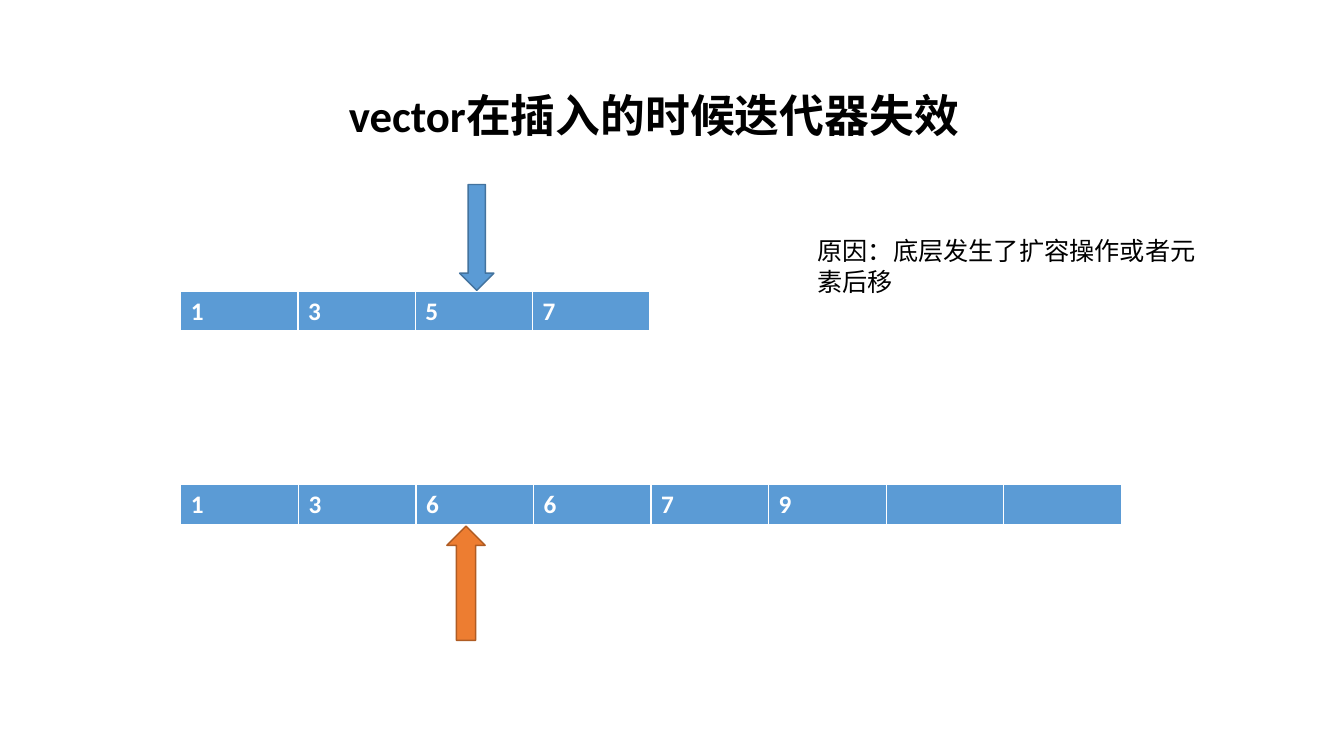
from dataclasses import dataclass
from pptx import Presentation
from pptx.dml.color import RGBColor as Rgb
from pptx.enum.shapes import MSO_SHAPE as Kind
from pptx.enum.text import MSO_ANCHOR as Anchor, PP_ALIGN as Align
from pptx.oxml import parse_xml
from pptx.oxml.ns import nsdecls
from pptx.util import Inches, Pt

WIDE, HIGH = Inches(13.333), Inches(7.5)
FONT = "Calibri"
HUES = {
    "black": "000000",
    "white": "FFFFFF",
    "blue": "5B9BD5",
    "navy": "43739E",
    "orange": "ED7D31",
    "rust": "AF5C24",
}
EDGES = {"lnL": 1, "lnR": 1, "lnT": 1, "lnB": 3}


@dataclass(frozen=True)
class Box:
    left: float
    top: float
    width: float
    height: float

    def emu(self) -> tuple[int, int, int, int]:
        return (int(self.left * WIDE / 100), int(self.top * HIGH / 100),
                int(self.width * WIDE / 100), int(self.height * HIGH / 100))


@dataclass(frozen=True)
class Vector:
    box: Box
    items: tuple[str, ...]


@dataclass(frozen=True)
class Arrow:
    box: Box
    kind: Kind
    fill: str
    line: str


TITLE = Box(25.2, 10.93, 49.73, 8.53)
NOTE = Box(60.08, 30.53, 30.83, 9.47)
VECTORS = (
    Vector(Box(13.46, 38.53, 34.88, 5.4), ("1", "3", "5", "7")),
    Vector(Box(13.46, 64.1, 69.98, 5.4), ("1", "3", "6", "6", "7", "9", "", "")),
)
ARROWS = (
    Arrow(Box(34.2, 24.4, 2.55, 14), Kind.DOWN_ARROW, "blue", "navy"),
    Arrow(Box(33.25, 69.6, 2.85, 15.1), Kind.UP_ARROW, "orange", "rust"),
)


def color(name: str) -> Rgb:
    return Rgb.from_string(HUES[name])


def style(para, size: int, hue: str, bold: bool) -> None:
    para.alignment = Align.LEFT
    font = para.font
    font.name, font.size, font.bold = FONT, Pt(size), bold
    font.color.rgb = color(hue)


def place(shape, box: Box) -> None:
    shape.left, shape.top, shape.width, shape.height = box.emu()


def write(shape, text: str, size: int, bold: bool) -> None:
    frame = shape.text_frame
    frame.word_wrap = True
    frame.vertical_anchor = Anchor.TOP
    frame.text = text
    style(frame.paragraphs[0], size, "black", bold)


def border(cell) -> None:
    props = cell._tc.get_or_add_tcPr()
    for edge, width in EDGES.items():
        props.append(parse_xml(
            f'<a:{edge} {nsdecls("a")} w="{Pt(width)}"><a:solidFill>'
            f'<a:srgbClr val="{HUES["white"]}"/></a:solidFill></a:{edge}>'))


def draw_vector(slide, vector: Vector) -> None:
    table = slide.shapes.add_table(1, len(vector.items), *vector.box.emu()).table
    for cell, item in zip(table.iter_cells(), vector.items):
        border(cell)
        cell.fill.solid()
        cell.fill.fore_color.rgb = color("blue")
        cell.text = item
        style(cell.text_frame.paragraphs[0], 18, "white", True)


def draw_arrow(slide, arrow: Arrow) -> None:
    shape = slide.shapes.add_shape(arrow.kind, *arrow.box.emu())
    shape.shadow.inherit = False
    shape.fill.solid()
    shape.fill.fore_color.rgb = color(arrow.fill)
    shape.line.color.rgb = color(arrow.line)
    shape.line.width = Pt(1)


def main() -> None:
    deck = Presentation()
    deck.slide_width, deck.slide_height = WIDE, HIGH
    slide = deck.slides.add_slide(deck.slide_layouts[5])
    title = slide.shapes.title
    place(title, TITLE)
    write(title, "vector在插入的时候迭代器失效", 32, True)
    for vector in VECTORS:
        draw_vector(slide, vector)
    for arrow in ARROWS:
        draw_arrow(slide, arrow)
    note = slide.shapes.add_textbox(*NOTE.emu())
    write(note, "原因：底层发生了扩容操作或者元素后移", 18, False)
    deck.save("out.pptx")


if __name__ == "__main__":
    main()
